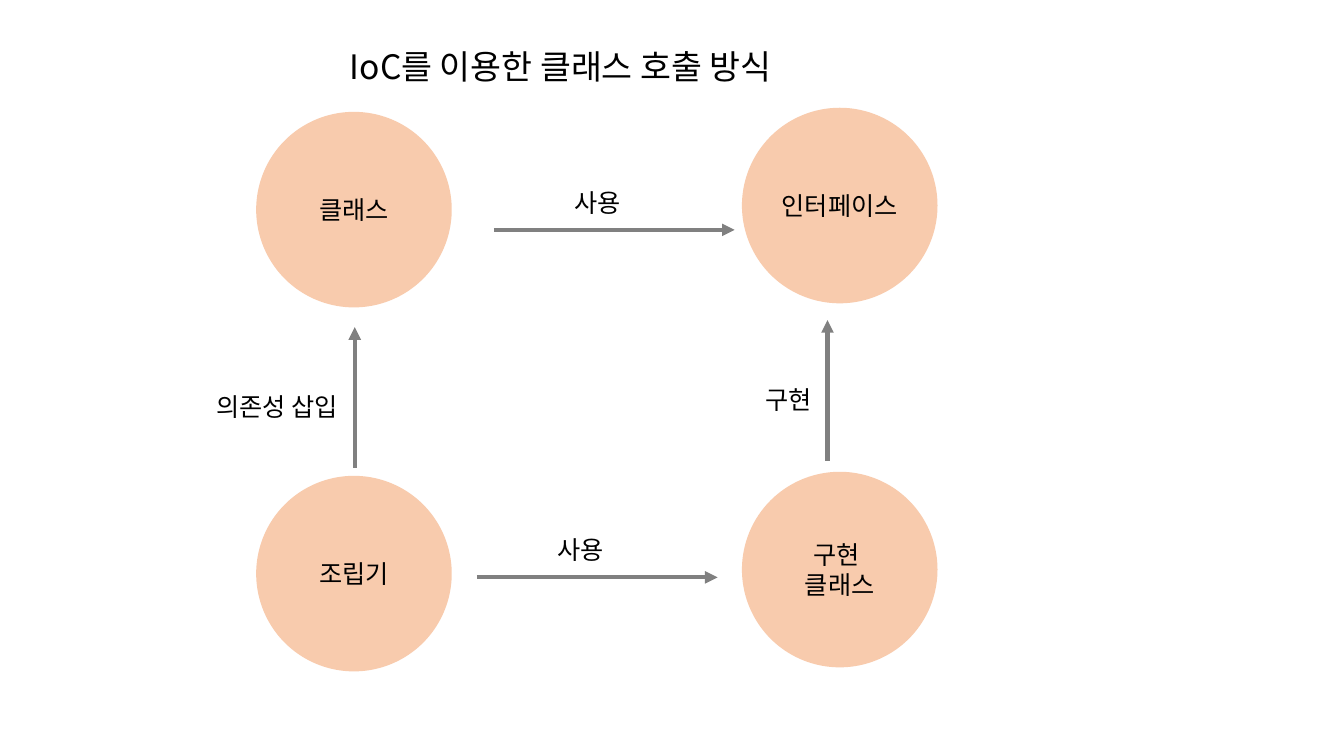
from lxml import etree
from pptx import Presentation
from pptx.dml.color import RGBColor
from pptx.enum.shapes import MSO_CONNECTOR, MSO_SHAPE
from pptx.enum.text import MSO_ANCHOR, PP_ALIGN
from pptx.oxml.ns import qn
from pptx.util import Pt

OVAL = MSO_SHAPE.OVAL
LINE = MSO_CONNECTOR.STRAIGHT
CENTER = PP_ALIGN.CENTER
MIDDLE, TOP = MSO_ANCHOR.MIDDLE, MSO_ANCHOR.TOP
PEACH = RGBColor(0xF8, 0xCB, 0xAD)
GREY = RGBColor(0x80, 0x80, 0x80)
BLACK = RGBColor(0, 0, 0)
FACE = "Noto Sans CJK KR"
SIZE = 139.7


def write(shape, text, size=18, anchor=TOP):
    frame = shape.text_frame
    frame.word_wrap = True
    frame.vertical_anchor = anchor
    para = frame.paragraphs[0]
    para.text = text
    para.alignment = CENTER
    style = {"name": FACE, "size": Pt(size)}
    for run in para.runs:
        for key, value in style.items():
            setattr(run.font, key, value)
        run.font.color.rgb = BLACK
        east = etree.SubElement(run.font._element, qn("a:ea"))
        east.set("typeface", FACE)


def label(slide, box, text, size=18):
    write(slide.shapes.add_textbox(*map(Pt, box)), text, size)


def node(slide, box, text):
    oval = slide.shapes.add_shape(OVAL, *map(Pt, box))
    oval.shadow.inherit = False
    oval.fill.solid()
    oval.fill.fore_color.rgb = PEACH
    oval.line.fill.background()
    write(oval, text, anchor=MIDDLE)


def arrow(slide, *ends):
    link = slide.shapes.add_connector(LINE, *map(Pt, ends))
    link.line.color.rgb = GREY
    link.line.width = Pt(3)
    tip = etree.SubElement(link.line._get_or_add_ln(), qn("a:tailEnd"))
    tip.set("type", "triangle")
    etree.SubElement(link._element.spPr, qn("a:effectLst"))


def across(slide, x, y, text):
    arrow(slide, x, y, x + 172, y)
    label(slide, (x - 17.3, y - 34.2, 183, 29), text)


def rise(slide, x, y, width, text):
    arrow(slide, x, y, x, y - 100.4)
    label(slide, (x - width, y - 58.3, width, 29), text)


def column(slide, x, y, names):
    for row, name in enumerate(names):
        node(slide, (x, y + row * 260, SIZE, SIZE), name)


def main():
    deck = Presentation()
    deck.slide_width, deck.slide_height = Pt(960), Pt(540)
    slide = deck.slides.add_slide(deck.slide_layouts[6])
    label(slide, (213, 29.5, 375, 36), "IoC를 이용한 클래스 호출 방식", 24)
    column(slide, 183, 79.9, ("클래스", "조립기"))
    column(slide, 530, 77, ("인터페이스", "구현 \n클래스"))
    across(slide, 352.8, 164.2, "사용")
    across(slide, 340.6, 412.4, "사용")
    rise(slide, 253.4, 334.1, 110.9, "의존성 삽입")
    rise(slide, 591.1, 329, 55.4, "구현")
    deck.save("out.pptx")


if __name__ == "__main__":
    main()
